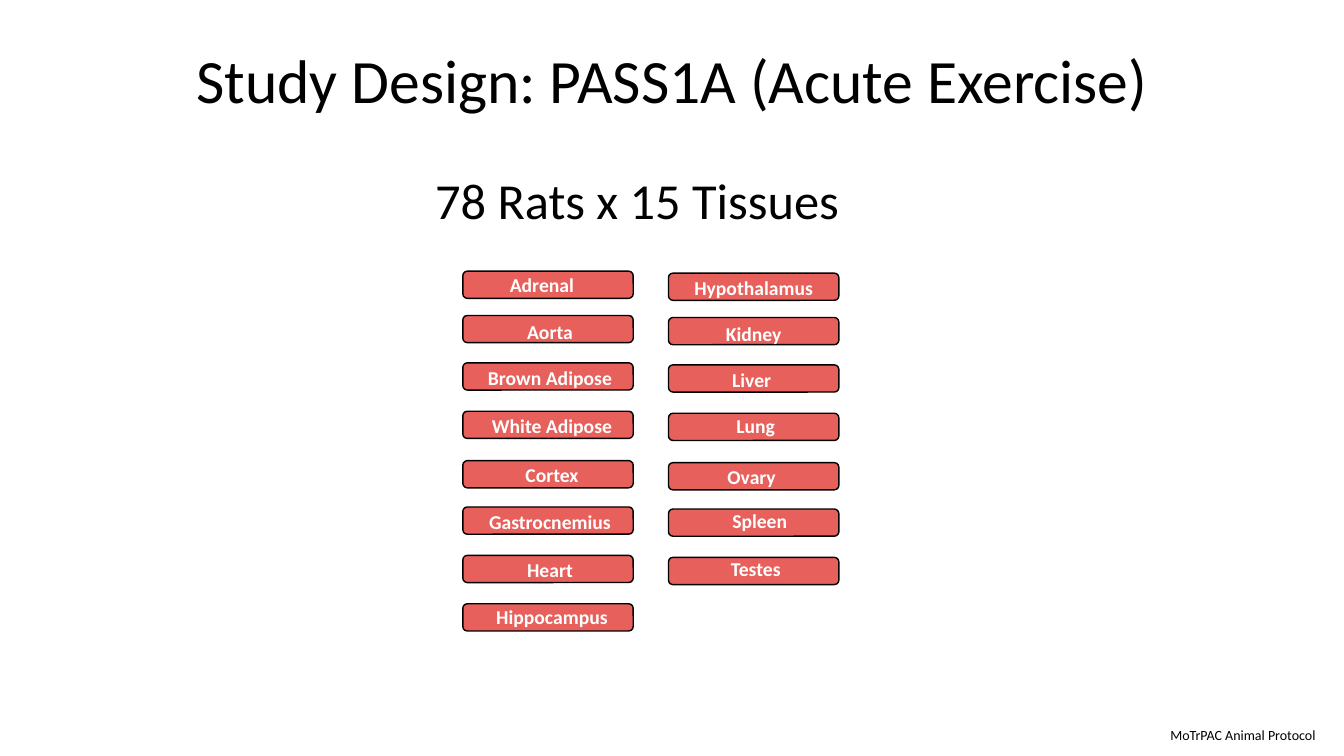
from dataclasses import dataclass

from pptx import Presentation
from pptx.dml.color import RGBColor
from pptx.enum.shapes import MSO_SHAPE as Shape
from pptx.enum.text import MSO_ANCHOR as Anchor, MSO_AUTO_SIZE as Fit, PP_ALIGN as Align
from pptx.util import Inches, Pt


@dataclass(frozen=True)
class Theme:
    font: str = "Calibri"
    ink: RGBColor = RGBColor(0x00, 0x00, 0x00)
    tissue_fill: RGBColor = RGBColor(0xE7, 0x60, 0x5B)
    tissue_ink: RGBColor = RGBColor(0xFF, 0xFF, 0xFF)
    title_size: int = 44
    subtitle_size: int = 36
    tissue_size: int = 14
    source_size: int = 10


THEME = Theme()

# Tissue boxes: shared row tops, and each column's left edge and drop
ROW_TOPS = [2.69, 3.13, 3.6, 4.08, 4.57, 5.03, 5.51, 5.99]
BOX_WIDTH, BOX_HEIGHT, LABEL_HEIGHT = 1.69, 0.27, 0.34

# Each tissue: name, label left, label top
COLUMNS = [
    (4.59, 0, [
        ("Adrenal", 4.53, 2.66),
        ("Aorta", 4.61, 3.12),
        ("Brown Adipose", 4.61, 3.58),
        ("White Adipose", 4.63, 4.06),
        ("Cortex", 4.63, 4.54),
        ("Gastrocnemius", 4.61, 5.01),
        ("Heart", 4.61, 5.49),
        ("Hippocampus", 4.63, 5.95),
    ]),
    (6.63, 0.02, [
        ("Hypothalamus", 6.63, 2.69),
        ("Kidney", 6.63, 3.14),
        ("Liver", 6.61, 3.6),
        ("Lung", 6.65, 4.06),
        ("Ovary", 6.61, 4.56),
        ("Spleen", 6.69, 5),
        ("Testes", 6.65, 5.48),
    ]),
]


def write(frame, text, size, color=THEME.ink, bold=False, align=Align.CENTER,
          anchor=Anchor.TOP, fit=Fit.SHAPE_TO_FIT_TEXT, spacing=1.0):
    """Fill a text frame with one formatted paragraph."""
    for name, value in {"word_wrap": True, "auto_size": fit,
                        "vertical_anchor": anchor}.items():
        setattr(frame, name, value)
    paragraph = frame.paragraphs[0]
    paragraph.alignment, paragraph.line_spacing = align, spacing
    run = paragraph.add_run()
    run.text = text
    for name, value in {"name": THEME.font, "size": Pt(size), "bold": bold}.items():
        setattr(run.font, name, value)
    run.font.color.rgb = color


def add_title(slide, text, left, top, width, height):
    title = slide.shapes.title
    for name, value in {"left": left, "top": top, "width": width, "height": height}.items():
        setattr(title, name, Inches(value))
    write(title.text_frame, text, THEME.title_size,
          anchor=Anchor.MIDDLE, fit=Fit.NONE, spacing=0.9)


def add_text(slide, text, left, top, width, height, size, **style):
    box = slide.shapes.add_textbox(*map(Inches, (left, top, width, height)))
    write(box.text_frame, text, size, **style)


def add_tissue_box(slide, left, top):
    box = slide.shapes.add_shape(
        Shape.ROUNDED_RECTANGLE, *map(Inches, (left, top, BOX_WIDTH, BOX_HEIGHT)))
    box.shadow.inherit = False
    box.fill.solid()
    box.fill.fore_color.rgb = THEME.tissue_fill
    box.line.color.rgb = THEME.ink
    box.line.width = Pt(1)


def main():
    deck = Presentation()
    deck.slide_width, deck.slide_height = Inches(13.33), Inches(7.5)
    slide = deck.slides.add_slide(deck.slide_layouts.get_by_name("Title Only"))

    # Title and source
    add_title(slide, "Study Design: PASS1A (Acute Exercise)", 0.92, 0.1, 11.5, 1.45)
    add_text(slide, "MoTrPAC Animal Protocol", 11.51, 7.16, 1.81, 0.27,
             THEME.source_size, align=Align.LEFT)

    # Tissue boxes, then their labels on top
    for left, drop, tissues in COLUMNS:
        for top, _ in zip(ROW_TOPS, tissues):
            add_tissue_box(slide, left, top + drop)
    for _, _, tissues in COLUMNS:
        for tissue, left, top in tissues:
            add_text(slide, tissue, left, top, BOX_WIDTH, LABEL_HEIGHT,
                     THEME.tissue_size, color=THEME.tissue_ink, bold=True)

    # Sample count
    add_text(slide, "78 Rats x 15 Tissues", 3.26, 1.29, 6.12, 1.45, THEME.subtitle_size,
             anchor=Anchor.MIDDLE, fit=Fit.NONE, spacing=0.9)

    deck.save("out.pptx")


if __name__ == "__main__":
    main()
